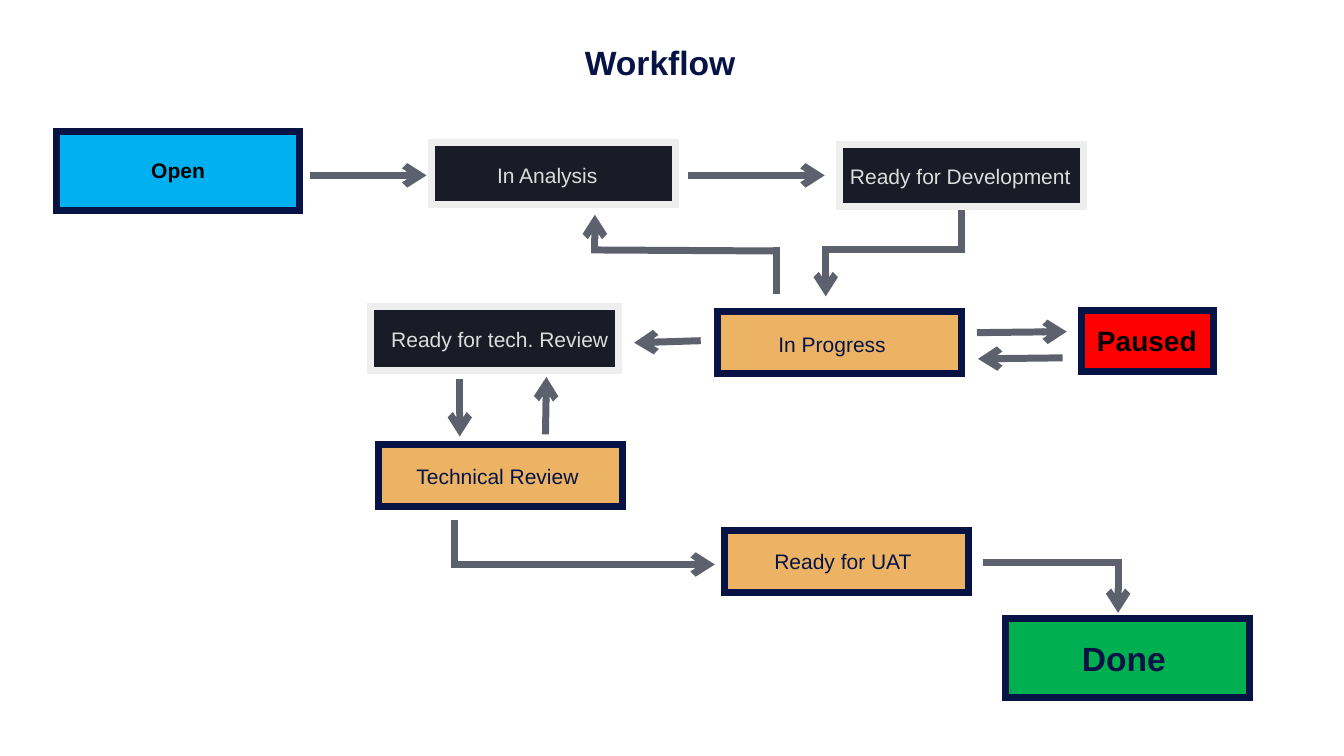
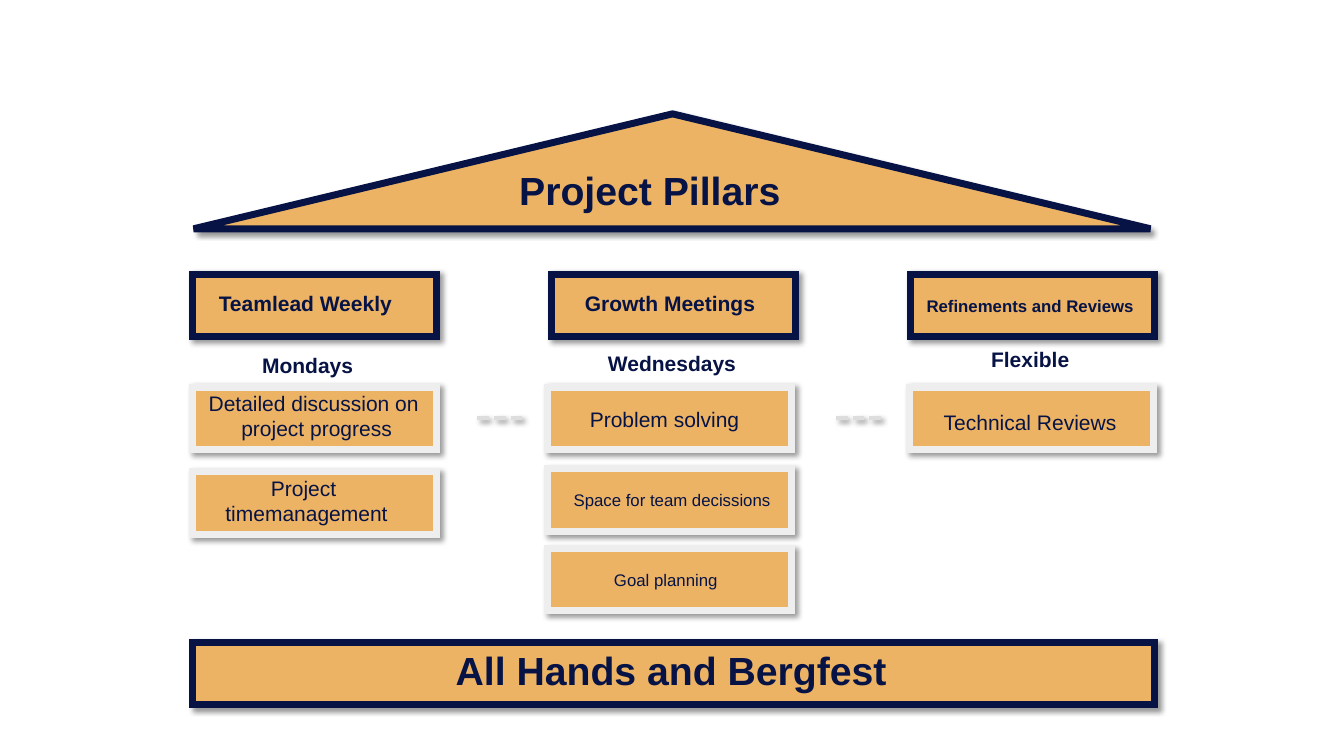
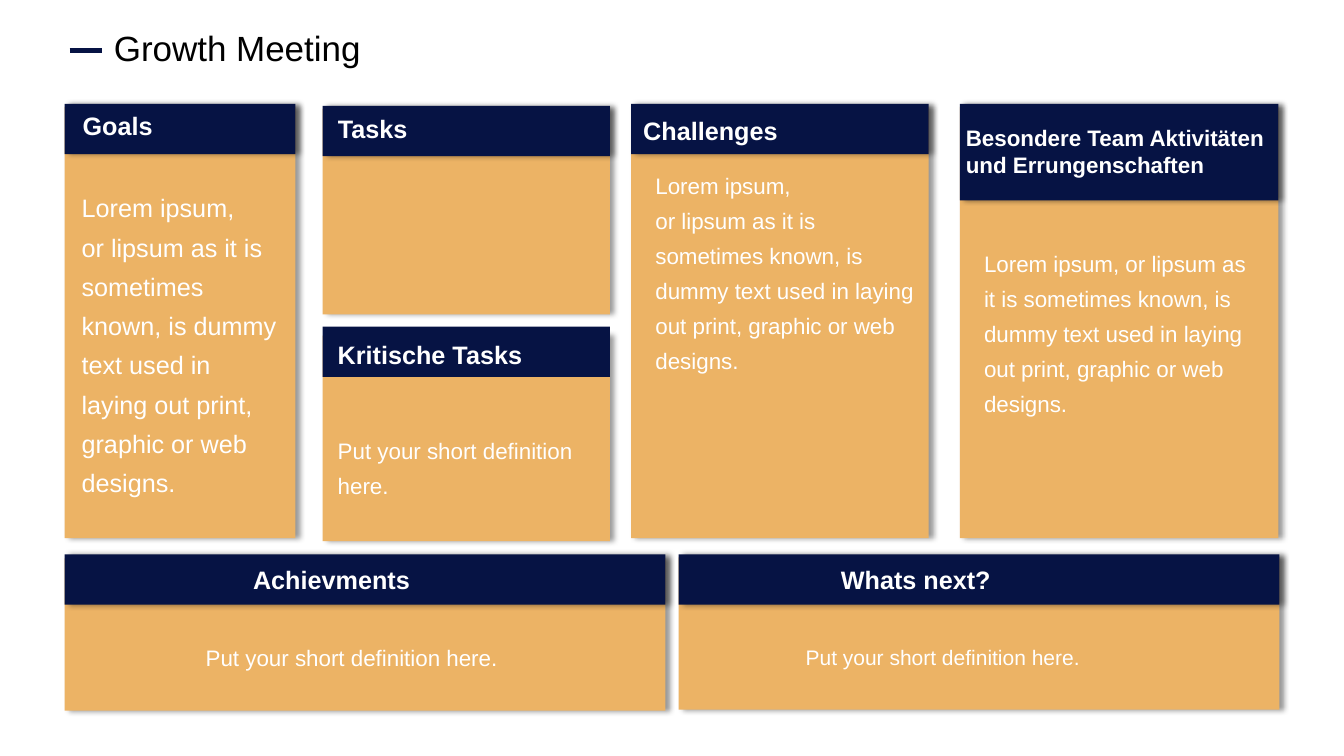
from dataclasses import dataclass
from math import hypot

from lxml import etree
from pptx import Presentation
from pptx import util as u
from pptx.dml.color import RGBColor
from pptx.enum import shapes, text
from pptx.oxml.ns import qn


@dataclass(frozen=True)
class Theme:
    font: str = "Arial"
    navy: str = "061344"
    sand: str = "ECB365"
    dark: str = "191C26"
    pale: str = "EEEEEE"
    silver: str = "DDDDDD"
    slate: str = "5D616E"
    white: str = "FFFFFF"
    black: str = "000000"
    sky: str = "00B0F0"
    green: str = "00B050"
    red: str = "FF0000"
    small: int = 12
    body: int = 15
    text: int = 16
    head: int = 18
    alert: int = 20
    title: int = 24
    heading: int = 25
    banner: int = 28
    thick: int = 5
    thin: int = 3
    inset: float = 0.03


T = Theme()
W, H = 13.33, 7.5
BOX_W, BOX_H = 2.42, 0.62

# ---- Workflow: state styles are fill, line, text colour, size, bold
STATES = {
    "open": (T.sky, T.navy, T.black, T.body, True),
    "ready": (T.dark, T.pale, T.silver, T.body, False),
    "active": (T.sand, T.navy, T.navy, T.body, False),
    "paused": (T.red, T.navy, T.black, T.alert, True),
    "done": (T.green, T.navy, T.navy, T.title, True),
}
# text, state, box, label left / top / width
STEPS = [
    ("Open", "open", (0.56, 1.3, 2.41, 0.79), (1.47, 1.53, 0.7)),
    ("In Analysis", "ready", (4.28, 1.41, BOX_W, BOX_H), (4.9, 1.58, 1.06)),
    ("Ready for Development", "ready", (8.33, 1.43, BOX_W, BOX_H), (8.4, 1.59, 2.27)),
    ("In Progress", "active", (7.12, 3.09, BOX_W, BOX_H), (7.69, 3.26, 1.13)),
    ("Paused", "paused", (10.73, 3.08, 1.31, 0.61), (10.85, 3.18, 1.06)),
    ("Ready for tech. Review", "ready", (3.68, 3.04, 2.46, 0.64), (3.85, 3.21, 2.23)),
    ("Technical Review", "active", (3.75, 4.41, BOX_W, BOX_H), (4.1, 4.57, 1.69)),
    ("Ready for UAT", "active", (7.19, 5.26, BOX_W, BOX_H), (7.65, 5.41, 1.92)),
    ("Done", "done", (9.97, 6.14, BOX_W, 0.78), (10.7, 6.3, 0.9)),
]
ROUTES = [
    [(3.07, 1.74), (4.23, 1.74)],
    [(6.82, 1.74), (8.18, 1.74)],
    [(9.54, 2.08), (9.54, 2.48), (8.19, 2.48), (8.19, 2.94)],
    [(7.7, 2.92), (7.7, 2.49), (5.9, 2.48), (5.9, 2.13)],
    [(9.69, 3.3), (10.58, 3.29)],
    [(10.54, 3.55), (9.7, 3.56)],
    [(6.95, 3.38), (6.29, 3.4)],
    [(4.56, 3.76), (4.56, 4.33)],
    [(5.41, 4.31), (5.42, 3.74)],
    [(4.51, 5.16), (4.51, 5.6), (7.09, 5.6)],
    [(9.75, 5.58), (11.09, 5.58), (11.09, 6.08)],
]

# ---- Pillars: text, label left / top / width, size
PILLAR_X, PILLAR_STEP = 1.91, 3.56
PILLARS = [
    {"head": ("Teamlead Weekly", (2.14, 2.85, 1.79), T.body),
     "day": ("Mondays", (2.57, 3.47, 0.97)),
     "left": 1.91,
     "items": [(3.84, "Detailed discussion on \nproject progress", (2.03, 3.84, 2.22), T.body),
               (4.68, "Project \ntimemanagement", (2.2, 4.69, 1.68), T.body)]},
    {"head": ("Growth Meetings", (5.77, 2.85, 1.76), T.body),
     "day": ("Wednesdays", (6, 3.45, 1.34)),
     "left": 5.43,
     "items": [(3.84, "Problem solving", (5.82, 4, 1.56), T.body),
               (4.65, "Space for team decissions", (5.66, 4.83, 2.02), T.small),
               (5.44, "Goal planning", (6.06, 5.62, 1.09), T.small)]},
    {"head": ("Refinements and Reviews", (9.16, 2.9, 2.13), T.small),
     "day": ("Flexible", (9.8, 3.41, 0.84)),
     "left": 9.02,
     "items": [(3.84, "Technical Reviews", (9.33, 4.03, 1.79), T.body)]},
]
ROOF = [(6.67, 1.13), (11.41, 2.27), (1.92, 2.27)]

# ---- Growth meeting
NBSP = chr(160)
LOREM = (f"Lorem ipsum, or{NBSP}lipsum{NBSP}as it is sometimes known, is dummy text "
         "used in laying out print, graphic or web designs.")
HINT = "Put your short definition here."
HEAD_H = 0.5
# panel box, header top / height, (title, box, size), (body, box, size, line spacing)
PANELS = [
    ((0.64, 1.06, 2.29, 4.28), (1.03, HEAD_H),
     ("Goals", (0.82, 1.05, 2.42, 0.39), T.head),
     (LOREM, (0.81, 1.82, 2, 2.21), T.head, 1.3)),
    ((3.2, 1.08, 2.85, 2.04), (1.05, HEAD_H),
     ("Tasks", (3.35, 1.08, 2.42, 0.39), T.head), None),
    ((3.2, 3.33, 2.85, 2.04), (3.24, HEAD_H),
     ("Kritische Tasks", (3.35, 3.38, 2.23, 0.27), T.head),
     (HINT, (3.35, 4.26, 2.5, 0.6), T.text, 1.3)),
    ((6.26, 1.06, 2.95, 4.28), (1.03, HEAD_H),
     ("Challenges", (6.38, 1.16, 2, 0.27), T.head),
     (LOREM, (6.5, 1.63, 2.58, 2.99), T.text, 1.3)),
    ((9.52, 1.06, 3.16, 4.28), (1.03, 0.96),
     ("Besondere Team Aktivitäten\nund Errungenschaften", (9.58, 1.14, 3.66, 0.72), T.text),
     (LOREM, (9.76, 2.4, 2.77, 2.21), T.text, 1.3)),
    ((0.64, 5.54, 5.96, 1.51), (5.5, HEAD_H),
     ("Achievments", (2.51, 5.61, 2.23, 0.27), T.head),
     (HINT, (2.04, 6.39, 3.18, 0.26), T.text, None)),
    ((6.73, 5.53, 5.96, 1.51), (5.5, HEAD_H),
     ("Whats next?", (8.34, 5.61, 2.71, 0.27), T.head),
     (HINT, (7.99, 6.39, 3.18, 0.26), T.body, None)),
]


def inches(values):
    return [u.Inches(v) for v in values]


def rgb(color):
    return RGBColor.from_string(color)


def set_effect(sp, angle=None):
    """Give a soft shadow falling at angle degrees, or none at all."""
    effects = etree.SubElement(sp._element.spPr, qn("a:effectLst"))
    if angle is not None:
        shadow = etree.SubElement(effects, qn("a:outerShdw"), blurRad=str(u.Pt(4)),
                                  dist=str(u.Pt(3)), dir=str(angle * 60000),
                                  algn="tl", rotWithShape="0")
        color = etree.SubElement(shadow, qn("a:srgbClr"), val=T.black)
        etree.SubElement(color, qn("a:alpha"), val="40000")


def paint(sp, fill, line=None, angle=None):
    sp.fill.solid()
    sp.fill.fore_color.rgb = rgb(fill)
    if line:
        sp.line.color.rgb = rgb(line)
        sp.line.width = u.Pt(T.thick)
        etree.SubElement(sp.line._get_or_add_ln(), qn("a:miter"), lim="800000")
    else:
        sp.line.fill.background()
    set_effect(sp, angle)


def add_box(s, box, fill, line=None, angle=None):
    sp = s.shapes.add_shape(shapes.MSO_SHAPE.RECTANGLE, *inches(box))
    paint(sp, fill, line, angle)


def add_line(s, start, end, color, width, arrow=False, dashed=False, angle=None):
    sp = s.shapes.add_connector(shapes.MSO_CONNECTOR.STRAIGHT, *inches(start + end))
    sp.line.color.rgb = rgb(color)
    sp.line.width = u.Pt(width)
    ln = sp.line._get_or_add_ln()
    if dashed:
        dashes = etree.SubElement(ln, qn("a:custDash"))
        etree.SubElement(dashes, qn("a:ds"), d="280000", sp="120000")
    if arrow:
        etree.SubElement(ln, qn("a:tailEnd"), type="arrow")
    set_effect(sp, angle)


def add_text(s, content, box, size, color, bold=False, inset=0, anchor=text.MSO_ANCHOR.TOP,
             spacing=None, align=None, wrap=True, grow=False):
    tf = s.shapes.add_textbox(*inches(box)).text_frame
    tf.margin_left = tf.margin_right = tf.margin_top = tf.margin_bottom = u.Inches(inset)
    tf.word_wrap = wrap
    tf.vertical_anchor = anchor
    if grow:
        tf.auto_size = text.MSO_AUTO_SIZE.SHAPE_TO_FIT_TEXT
    tf.text = content
    for p in tf.paragraphs:
        p.alignment = align
        p.line_spacing = spacing
        for r in p.runs:
            r.font.name, r.font.size, r.font.bold = T.font, u.Pt(size), bold
            r.font.color.rgb = rgb(color)


def add_label(s, content, place, size=T.body, color=T.navy, bold=False):
    """Add a label whose height follows its lines and type size."""
    lines = content.count("\n") + 1
    height = lines * size / 60 + 2 * T.inset
    add_text(s, content, (*place, height), size, color, bold, inset=T.inset, wrap=lines == 1,
             grow=True, align=text.PP_ALIGN.CENTER if lines > 1 else text.PP_ALIGN.LEFT)


def add_route(s, points):
    """Join the points with lines that overlap at corners; the last has an arrow."""
    half = T.thick / 72 / 2
    last = len(points) - 2
    for i, ((x1, y1), (x2, y2)) in enumerate(zip(points, points[1:])):
        length = hypot(x2 - x1, y2 - y1)
        dx, dy = (x2 - x1) / length * half, (y2 - y1) / length * half
        start = (x1 - dx, y1 - dy) if i > 0 else (x1, y1)
        end = (x2 + dx, y2 + dy) if i < last else (x2, y2)
        add_line(s, start, end, T.slate, T.thick, arrow=i == last)


def add_wide_label(s, content, place, *style, **options):
    """Add a one-line label with spare room on the right, so that it never wraps."""
    left, top, width = place
    spare = 0 if "\n" in content else 0.15
    add_label(s, content, (left, top, width + spare), *style, **options)


def workflow(s):
    add_wide_label(s, "Workflow", (5.77, 0.39, 1.56), T.title, bold=True)
    for content, state, box, place in STEPS:
        fill, line, color, size, bold = STATES[state]
        add_box(s, box, fill, line)
        add_wide_label(s, content, place, size, color, bold)
    for points in ROUTES:
        add_route(s, points)


def pillars(s):
    start, *others = [inches(point) for point in ROOF]
    builder = s.shapes.build_freeform(*start)
    builder.add_line_segments(others, close=True)
    paint(builder.convert_to_shape(), T.sand, T.navy, 45)
    add_wide_label(s, "Project Pillars", (5.12, 1.62, 2.68), T.banner, bold=True)
    for i, pillar in enumerate(PILLARS):
        left = PILLAR_X + i * PILLAR_STEP
        add_box(s, (left, 2.72, BOX_W, BOX_H), T.sand, T.navy, 45)
        add_wide_label(s, *pillar["head"], bold=True)
        add_wide_label(s, *pillar["day"], bold=True)
        for top, content, place, size in pillar["items"]:
            add_box(s, (pillar["left"], top, BOX_W, BOX_H), T.sand, T.pale, 45)
            add_wide_label(s, content, place, size)
        if i:
            x = left - 0.74
            add_line(s, (x, 4.15), (x + 0.45, 4.15), T.silver, T.thin, dashed=True, angle=45)
    add_box(s, (PILLAR_X, 6.37, 2 * PILLAR_STEP + BOX_W, BOX_H), T.sand, T.navy, 45)
    add_wide_label(s, "All Hands and Bergfest", (4.49, 6.38, 4.38), T.banner, bold=True)


def growth_meeting(s):
    middle = text.MSO_ANCHOR.MIDDLE
    add_text(s, "Growth Meeting", (1.13, 0.34, 5.13, 0.34), T.heading, T.black,
             anchor=middle, spacing=0.8, grow=True)
    add_line(s, (0.69, 0.5), (1.01, 0.5), T.navy, T.thin)
    for box, (top, height), (title, title_box, size), body in PANELS:
        add_box(s, box, T.sand, angle=0)
        add_box(s, (box[0], top, box[2], height), T.navy,
                angle=None if title == "Kritische Tasks" else 0)
        add_text(s, title, title_box, size, T.white, bold=True, anchor=middle)
        if body:
            content, body_box, body_size, spacing = body
            add_text(s, content, body_box, body_size, T.white, spacing=spacing)


def main():
    prs = Presentation()
    prs.slide_width, prs.slide_height = inches((W, H))
    for draw in (workflow, pillars, growth_meeting):
        draw(prs.slides.add_slide(prs.slide_layouts[6]))
    prs.save("out.pptx")


if __name__ == "__main__":
    main()
